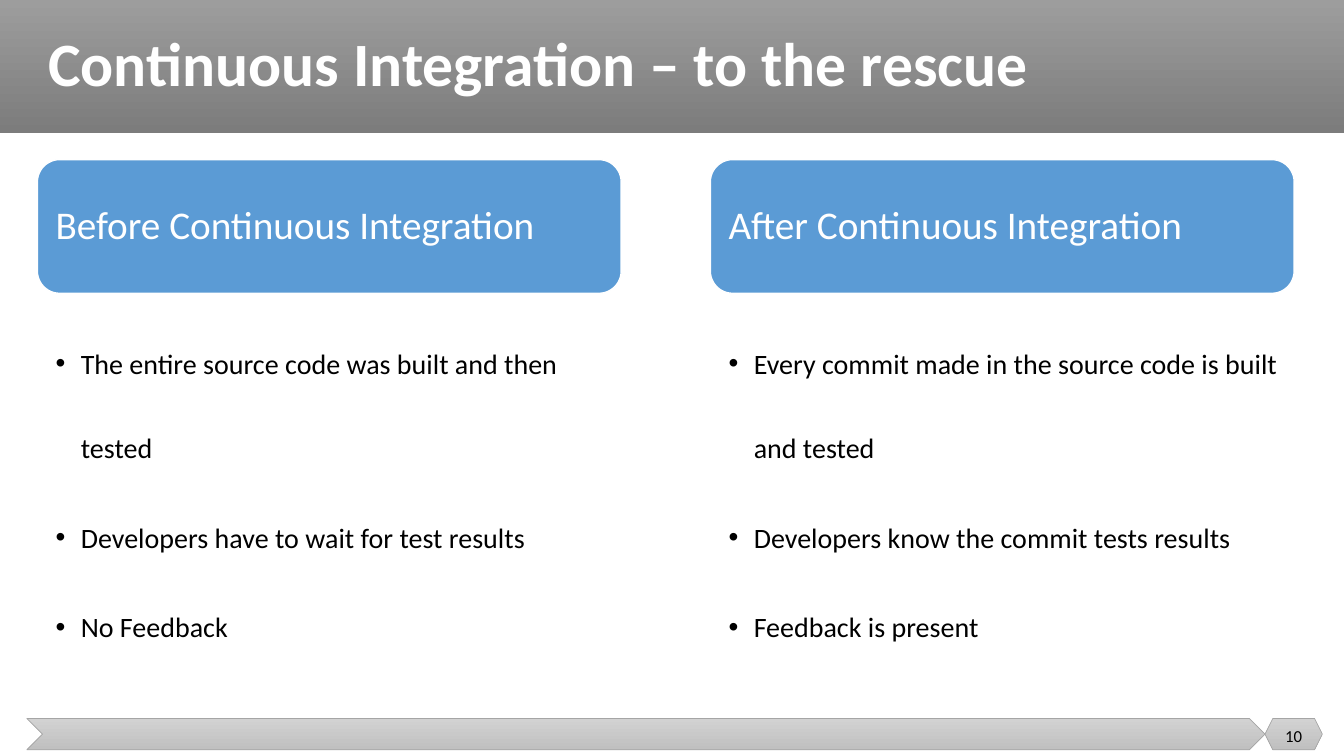
from dataclasses import dataclass

from lxml.etree import SubElement
from pptx import Presentation
from pptx.dml.color import RGBColor
from pptx.enum.shapes import MSO_SHAPE
from pptx.enum.text import MSO_ANCHOR, MSO_AUTO_SIZE, PP_ALIGN
from pptx.oxml.ns import qn
from pptx.util import Pt


@dataclass(frozen=True)
class Theme:
    font: str = "Calibri"
    white: str = "FFFFFF"
    black: str = "000000"
    accent: str = "5B9BD5"
    footer_line: str = "A5A5A5"
    banner_gradient: tuple = ("9D9D9D", "7C7C7C")
    footer_gradient: tuple = ("D2D2D2", "C0C0C0")
    title_size: int = 44
    heading_size: int = 28
    body_size: int = 20
    number_size: int = 12


THEME = Theme()
SLIDE_WIDTH, SLIDE_HEIGHT = 960, 540
BANNER_HEIGHT = 95
COLUMN_TOP, COLUMN_WIDTH, COLUMN_HEIGHT = 114, 417, 355.5
COLUMN_LEFT, COLUMN_STEP = 26.7, 480.7
HEADING_HEIGHT = 95.5

TITLE = "Continuous Integration – to the rescue"
COLUMNS = [
    ("Before Continuous Integration", [
        "The entire source code was built and then tested",
        "Developers have to wait for test results",
        "No Feedback",
    ]),
    ("After Continuous Integration", [
        "Every commit made in the source code is built and tested",
        "Developers know the commit tests results",
        "Feedback is present",
    ]),
]


def set_text(paragraph, text, *, size, color, bold=False,
             align=PP_ALIGN.LEFT, line_spacing=1.0, space_after=0):
    """Write one formatted run into a paragraph."""
    paragraph.alignment = align
    paragraph.line_spacing = line_spacing
    paragraph.space_before = Pt(0)
    paragraph.space_after = Pt(space_after)
    run = paragraph.add_run()
    run.text = text
    run.font.name = THEME.font
    run.font.size = Pt(size)
    run.font.bold = bold
    run.font.color.rgb = RGBColor.from_string(color)


def set_frame(frame, anchor, insets, wrap=True):
    frame.word_wrap = wrap
    frame.auto_size = MSO_AUTO_SIZE.NONE
    frame.vertical_anchor = anchor
    (frame.margin_left, frame.margin_top,
     frame.margin_right, frame.margin_bottom) = map(Pt, insets)


def add_panel(slide, preset, box, *, fill=None, gradient=None, line=None, line_width=1):
    """Add a preset shape with a solid fill or a top-to-bottom gradient."""
    shape = slide.shapes.add_shape(preset, *map(Pt, box))
    shape.shadow.inherit = False
    if gradient:
        shape.fill.gradient()
        shape.fill.gradient_angle = 270
        for stop, color in zip(shape.fill.gradient_stops, gradient):
            stop.color.rgb = RGBColor.from_string(color)
    else:
        shape.fill.solid()
        shape.fill.fore_color.rgb = RGBColor.from_string(fill)
    if line:
        shape.line.color.rgb = RGBColor.from_string(line)
        shape.line.width = Pt(line_width)
    else:
        shape.line.fill.background()
    return shape


def place_in_front(placeholder, box):
    (placeholder.left, placeholder.top,
     placeholder.width, placeholder.height) = map(Pt, box)
    placeholder.element.getparent().append(placeholder.element)


def add_bullet(paragraph, indent):
    properties = paragraph._p.get_or_add_pPr()
    properties.set("marL", str(Pt(indent)))
    properties.set("indent", str(-Pt(indent)))
    SubElement(properties, qn("a:buFont")).set("typeface", "Arial")
    SubElement(properties, qn("a:buChar")).set("char", "•")


def build_banner(slide, box):
    left, top, width, height = box
    add_panel(slide, MSO_SHAPE.RECTANGLE, box, gradient=THEME.banner_gradient)
    title = slide.shapes.title
    place_in_front(title, (left + 27.3, top, width - 42.7, height))
    set_frame(title.text_frame, MSO_ANCHOR.MIDDLE, (7.2, 3.6, 7.2, 3.6))
    set_text(title.text_frame.paragraphs[0], TITLE, size=THEME.title_size,
             color=THEME.white, bold=True, line_spacing=0.9)


def build_column(slide, body, box, heading, items):
    left, top, width, height = box
    # Heading panel
    panel = add_panel(slide, MSO_SHAPE.ROUNDED_RECTANGLE,
                      (left, top, width, HEADING_HEIGHT),
                      fill=THEME.accent, line=THEME.white)
    set_frame(panel.text_frame, MSO_ANCHOR.MIDDLE, (8.4,) * 4)
    set_text(panel.text_frame.paragraphs[0], heading, size=THEME.heading_size,
             color=THEME.white, line_spacing=0.9)
    # Bulleted list
    place_in_front(body, (left, top + HEADING_HEIGHT, width, height - HEADING_HEIGHT))
    frame = body.text_frame
    set_frame(frame, MSO_ANCHOR.TOP, (13, 2, 11.4, 2))
    for index, item in enumerate(items):
        paragraph = frame.add_paragraph() if index else frame.paragraphs[0]
        add_bullet(paragraph, 18)
        set_text(paragraph, item, size=THEME.body_size, color=THEME.black,
                 line_spacing=2.5, space_after=4)


def build_footer(slide, box, number):
    left, top, width, height = box
    number_width = 41
    bar_width = width - number_width
    style = dict(gradient=THEME.footer_gradient, line=THEME.footer_line, line_width=0.5)
    add_panel(slide, MSO_SHAPE.CHEVRON, (left, top, bar_width, height), **style)
    badge = add_panel(slide, MSO_SHAPE.HEXAGON,
                      (left + bar_width, top, number_width, height), **style)
    set_frame(badge.text_frame, MSO_ANCHOR.MIDDLE, (0, 2, 0, 0), wrap=False)
    set_text(badge.text_frame.paragraphs[0], number, size=THEME.number_size,
             color=THEME.black, align=PP_ALIGN.CENTER)


def build_comparison_slide(presentation):
    slide = presentation.slides.add_slide(presentation.slide_layouts[3])
    bodies = [slide.placeholders[1], slide.placeholders[2]]
    build_banner(slide, (0, 0, SLIDE_WIDTH, BANNER_HEIGHT))
    build_footer(slide, (19.2, 513.2, 925.4, 22.4), "10")
    for index, (body, (heading, items)) in enumerate(zip(bodies, COLUMNS)):
        box = (COLUMN_LEFT + index * COLUMN_STEP, COLUMN_TOP, COLUMN_WIDTH, COLUMN_HEIGHT)
        build_column(slide, body, box, heading, items)


def main():
    presentation = Presentation()
    presentation.slide_width = Pt(SLIDE_WIDTH)
    presentation.slide_height = Pt(SLIDE_HEIGHT)
    build_comparison_slide(presentation)
    presentation.save("out.pptx")


if __name__ == "__main__":
    main()
